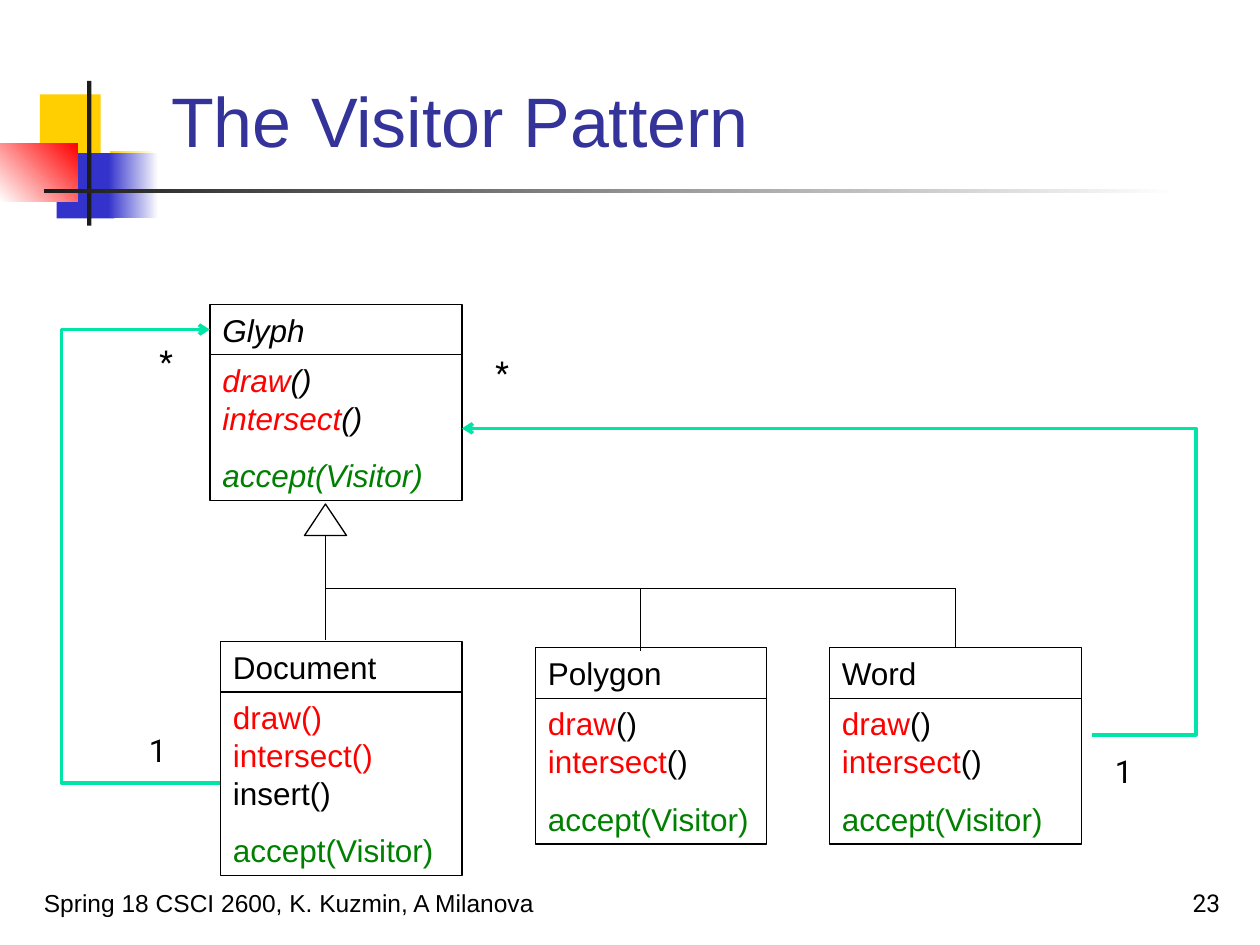
from dataclasses import dataclass
from typing import NamedTuple

from lxml import etree
from pptx import Presentation
from pptx import util as u
from pptx.dml.color import RGBColor
from pptx.enum import shapes, text
from pptx.oxml import ns

COLS, ROWS = 120, 90


@dataclass(frozen=True)
class Theme:
    black: str = "000000"
    white: str = "FFFFFF"
    title: str = "333399"
    red: str = "FF0000"
    green: str = "008000"
    link: str = "00E4A8"
    yellow: str = "FFCF01"
    blue: str = "3333CC"
    dark: str = "1C1C1C"
    sans: str = "Arial"
    label: str = "Roboto"
    title_size: int = 40
    body_size: int = 18
    footer_size: int = 14
    para_gap: float = 11.2
    thin: float = 0.5
    normal: float = 0.75
    thick: float = 2


T = Theme()


class Box(NamedTuple):
    x: float
    y: float
    w: float
    h: float


class Span(NamedTuple):
    text: str
    color: str = T.black


class Deco(NamedTuple):
    box: Box
    color: str
    fade: str = ""
    angle: int = 0


class UmlClass(NamedTuple):
    name: str
    box: Box
    methods: list[list[Span]]
    italic: bool = False


class Label(NamedTuple):
    text: str
    x: float
    y: float


HEAD = 4.8
LEAF_TOP = 61.7
SHORT = 18.7
CALL = Span("()")
ACCEPT = [Span("accept(Visitor)", T.green)]
DRAWN = [Span("draw", T.red), CALL, Span("\n"), Span("intersect", T.red), CALL]
INSERTING = [Span("draw()", T.red), Span("\n"), Span("intersect()", T.red),
             Span("\n"), Span("insert()")]

DECOS = [
    Deco(Box(3.8, 9, 5.8, 6.2), T.yellow),
    Deco(Box(10.5, 14.4, 4.3, 6.2), T.yellow, T.white),
    Deco(Box(5.4, 14.6, 5.5, 6.2), T.blue),
    Deco(Box(10.3, 14.6, 4.8, 6.2), T.blue, T.white),
    Deco(Box(0, 13.65, 7.4, 5.55), T.white, T.red, 45),
    Deco(Box(8.3, 7.7, 0.4, 13.8), T.dark),
    Deco(Box(4.2, 18, 108, 0.4), T.dark, T.white),
]
CLASSES = [
    UmlClass("Document", Box(21, 61.1, 23, 22.3), [INSERTING, ACCEPT]),
    UmlClass("Glyph", Box(20, 29, 24, SHORT), [DRAWN, ACCEPT], True),
    UmlClass("Polygon", Box(51, LEAF_TOP, 22, SHORT), [DRAWN, ACCEPT]),
    UmlClass("Word", Box(79, LEAF_TOP, 24, SHORT), [DRAWN, ACCEPT]),
]
LABELS = [Label("1", 13, 69), Label("*", 14, 32),
          Label("1", 105, 71), Label("*", 46, 33)]


def rgb(color: str) -> RGBColor:
    return RGBColor.from_string(color)


def place(prs, *cells: float) -> list[int]:
    steps = (prs.slide_width / COLS, prs.slide_height / ROWS)
    return [round(c * steps[i % 2]) for i, c in enumerate(cells)]


def style(r, color: str, size: float, font: str = T.sans, italic: bool = False) -> None:
    r.font.name = font
    r.font.size = u.Pt(size)
    r.font.color.rgb = rgb(color)
    r.font.italic = italic


def add_shape(prs, s, kind, box: Box, fill: str = "", line: str = ""):
    sp = s.shapes.add_shape(kind, *place(prs, *box))
    sp.shadow.inherit = False
    if fill:
        sp.fill.solid()
        sp.fill.fore_color.rgb = rgb(fill)
    else:
        sp.fill.background()
    if line:
        sp.line.color.rgb = rgb(line)
        sp.line.width = u.Pt(T.normal)
    else:
        sp.line.fill.background()
    return sp


def add_deco(prs, s, d: Deco) -> None:
    sp = add_shape(prs, s, shapes.MSO_SHAPE.RECTANGLE, d.box, d.color)
    if d.fade:
        sp.fill.gradient()
        sp.fill.gradient_angle = d.angle
        for stop, color, position in zip(sp.fill.gradient_stops, (d.color, d.fade), (0, 1)):
            stop.color.rgb = rgb(color)
            stop.position = position


def add_compartment(prs, s, box: Box, paragraphs: list[list[Span]], italic: bool):
    sp = add_shape(prs, s, shapes.MSO_SHAPE.RECTANGLE, box, line=T.black)
    tf = sp.text_frame
    tf.word_wrap = True
    tf.vertical_anchor = text.MSO_ANCHOR.TOP
    for i, spans in enumerate(paragraphs):
        p = tf.add_paragraph() if i else tf.paragraphs[0]
        p.alignment = text.PP_ALIGN.LEFT
        p.space_before = u.Pt(T.para_gap)
        for span in spans:
            if span.text == "\n":
                p.add_line_break()
                continue
            r = p.add_run()
            r.text = span.text
            style(r, span.color, T.body_size, italic=italic)
    return sp


def add_class(prs, s, c: UmlClass):
    x, y, w, h = c.box
    head = add_compartment(prs, s, Box(x, y, w, HEAD), [[Span(c.name)]], c.italic)
    add_compartment(prs, s, Box(x, y + HEAD, w, h - HEAD), c.methods, c.italic)
    return head


def add_text(prs, s, box: Box, words: str, size: float, font: str,
             align=text.PP_ALIGN.LEFT, anchor=text.MSO_ANCHOR.TOP, wrap: bool = True) -> None:
    tf = s.shapes.add_textbox(*place(prs, *box)).text_frame
    tf.text = words
    tf.word_wrap = wrap
    tf.vertical_anchor = anchor
    tf.paragraphs[0].alignment = align
    style(tf.paragraphs[0].runs[0], T.black, size, font)


def add_line(prs, s, ends: tuple, color: str = T.black, width: float = T.normal,
             kind=shapes.MSO_CONNECTOR.STRAIGHT):
    cx = s.shapes.add_connector(kind, *place(prs, *ends))
    cx.line.color.rgb = rgb(color)
    cx.line.width = u.Pt(width)
    etree.SubElement(cx._element.spPr, ns.qn("a:effectLst"))
    return cx


def add_link(prs, s, ends: tuple, via: float) -> None:
    cx = add_line(prs, s, ends, T.link, T.thick, shapes.MSO_CONNECTOR.ELBOW)
    etree.SubElement(cx.line._get_or_add_ln(), ns.qn("a:tailEnd"), type="arrow")
    bend = round((via - ends[0]) / (ends[2] - ends[0]) * 100000)
    guides = cx._element.spPr.find(ns.qn("a:prstGeom")).find(ns.qn("a:avLst"))
    etree.SubElement(guides, ns.qn("a:gd"), name="adj1", fmla=f"val {bend}")


def add_title(prs, s, words: str) -> None:
    sp = s.shapes.title
    sp.left, sp.top, sp.width, sp.height = place(prs, 15.1, 2.8, 102.2, 13.2)
    tf = sp.text_frame
    tf.text = words
    tf.auto_size = text.MSO_AUTO_SIZE.NONE
    tf.vertical_anchor = text.MSO_ANCHOR.BOTTOM
    tf.paragraphs[0].alignment = text.PP_ALIGN.LEFT
    style(tf.paragraphs[0].runs[0], T.title, T.title_size)


def main() -> None:
    prs = Presentation()
    prs.slide_width, prs.slide_height = u.Inches(10), u.Inches(7.5)
    s = prs.slides.add_slide(prs.slide_layouts[5])
    for d in DECOS:
        add_deco(prs, s, d)
    add_title(prs, s, "The Visitor Pattern")
    bottom = text.MSO_ANCHOR.BOTTOM
    add_text(prs, s, Box(3, 82, 62, 6), "Spring 18 CSCI 2600, K. Kuzmin, A Milanova",
             T.footer_size, T.sans, anchor=bottom)
    add_text(prs, s, Box(92.4, 82, 25, 6), "23", T.footer_size, T.label,
             text.PP_ALIGN.RIGHT, bottom)
    heads = {c.name: add_class(prs, s, c) for c in CLASSES}
    for label in LABELS:
        add_text(prs, s, Box(label.x, label.y, 4.1, HEAD), label.text,
                 T.body_size, T.label, wrap=False)
    add_line(prs, s, (31, 51, 31, 61))
    add_shape(prs, s, shapes.MSO_SHAPE.ISOSCELES_TRIANGLE, Box(29, 48, 4, 3), T.white, T.black)
    add_line(prs, s, (31, 56, 91, 56), width=T.thin)
    add_line(prs, s, (61, 56, 61, 62))
    add_line(prs, s, (91, 56, 91, LEAF_TOP)).end_connect(heads["Word"], 0)
    add_link(prs, s, (21, 74.6, 20, 31.4), 5.9)
    add_link(prs, s, (104, 70, 44, 40.8), 113.9)
    prs.save("out.pptx")


if __name__ == "__main__":
    main()
